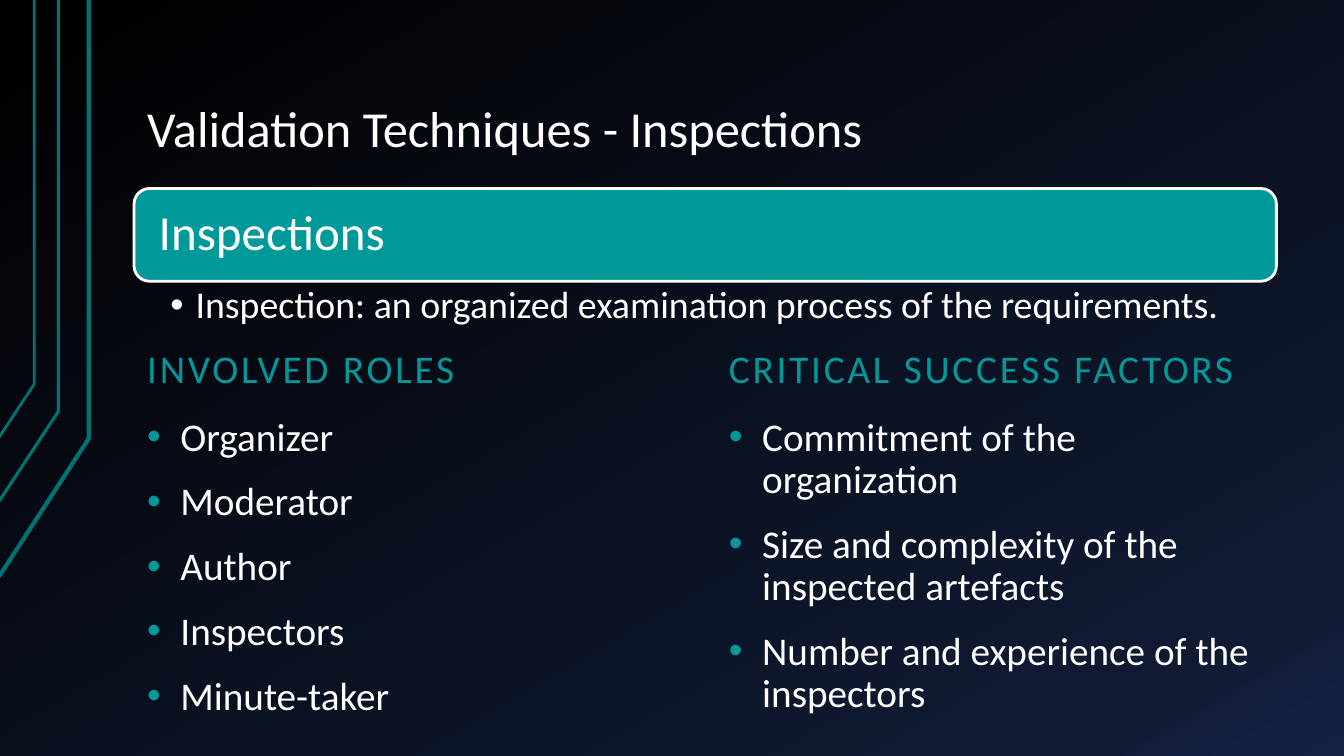
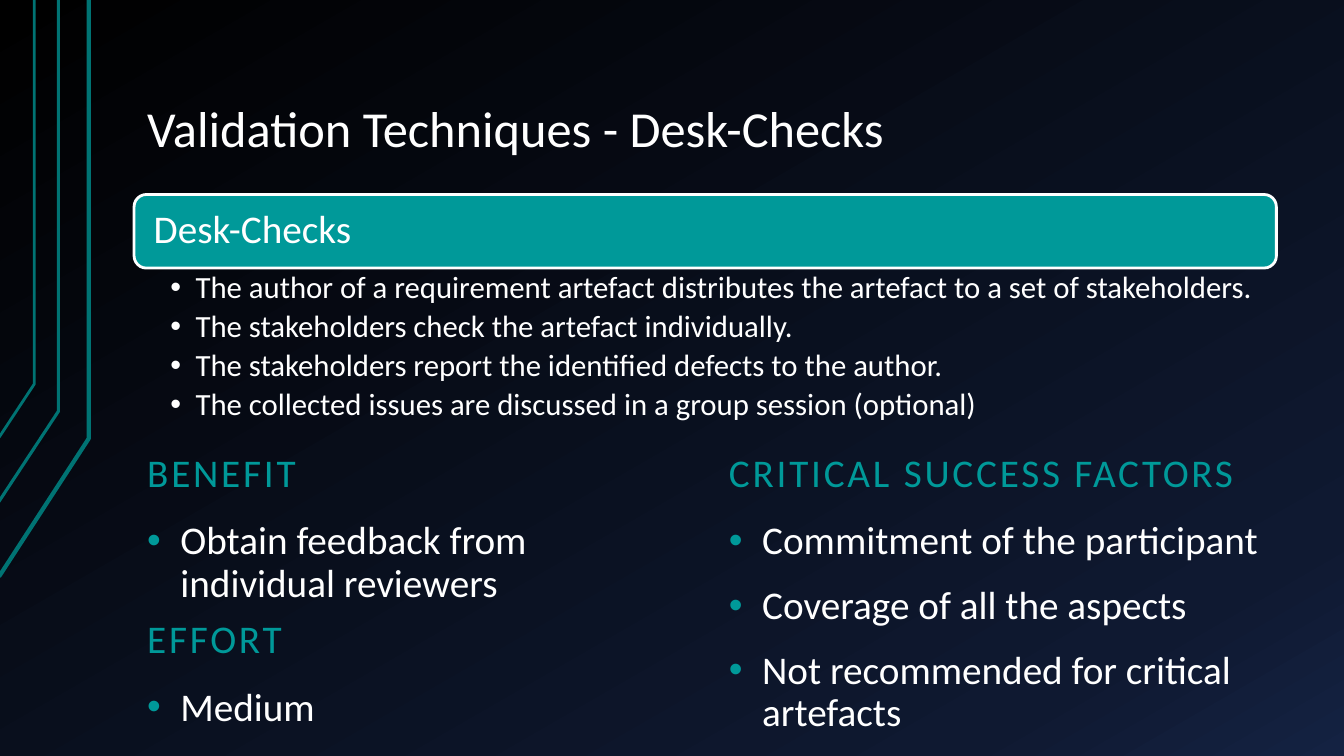
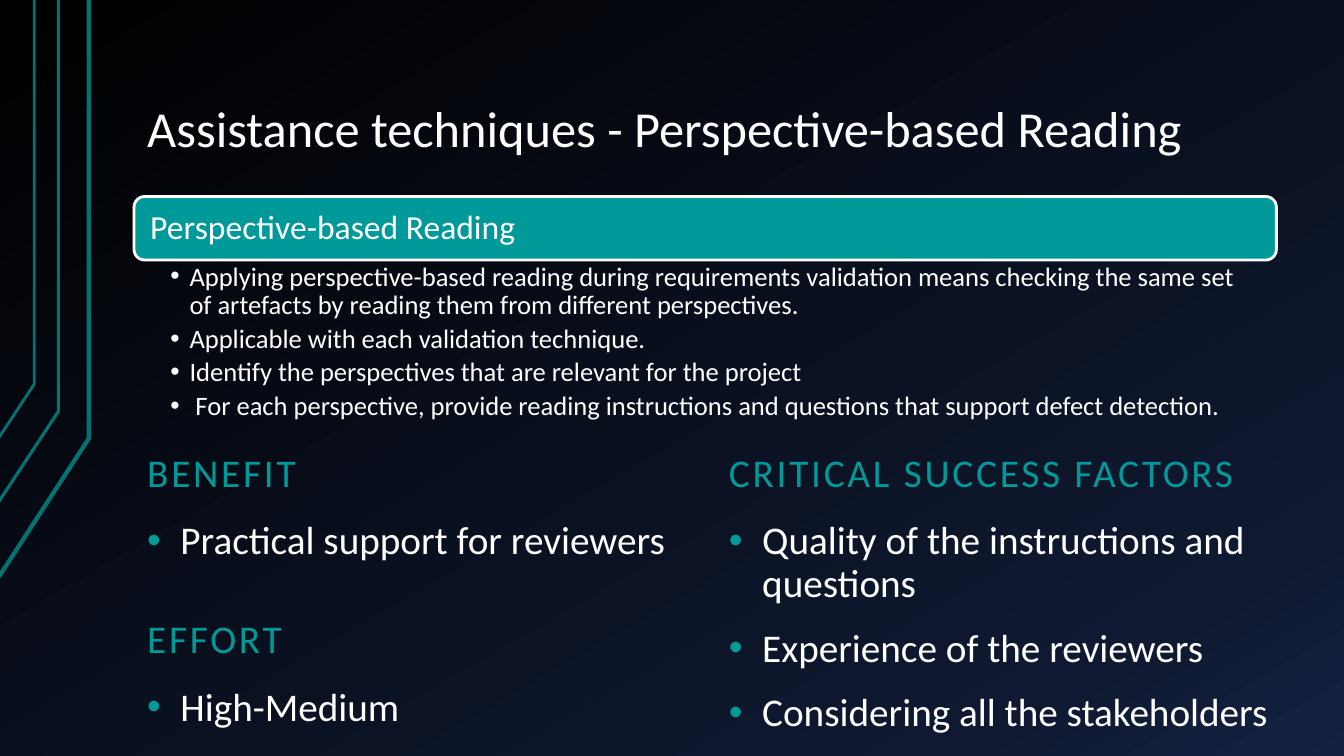
"""Build three slides on requirements validation techniques."""
from lxml import etree
from pptx import Presentation
from pptx import util as u
from pptx.dml.color import RGBColor
from pptx.enum import shapes, text
from pptx.oxml.ns import qn

WIDE, HIGH = 13.33, 7.5
LEFT, SPAN = 1.33, 11.33
FONT, WHITE, TEAL, DEEP = "Calibri", "FFFFFF", "009999", "007373"
GLOW = [(0, "000000"), (85, "0F1931"), (100, "142242")]
RAILS = [
    (3, [(-0.01, 5.72), (0.88, 4.35), (0.88, 0)]),
    (2.25, [(-0.02, 4.99), (0.58, 4.08), (0.58, 0)]),
    (2, [(-0.01, 4.34), (0.34, 3.81), (0.34, 0)]),
]
COLS = [(LEFT, 5.55), (7.1, 5.62)]
DROP, SHORT = 1.11, 0.86
HIGH_ROW, MID_ROW, LOW_ROW = 2.96, 3.99, 5.64
FACTORS = "CRITICAL SUCCESS FACTORS"

SLIDES = [
    dict(
        title="Validation Techniques - Inspections",
        band=("Inspections", 1.87, 0.92, 35, 0.2),
        notes=(27, 0.25, 0.05, 0.27, [
            "Inspection: an organized examination process of the requirements.",
        ]),
        blocks=[
            (0, HIGH_ROW, "INVOLVED ROLES",
             ["Organizer", "Moderator", "Author", "Inspectors", "Minute-taker"]),
            (1, HIGH_ROW, FACTORS,
             ["Commitment of the organization",
              "Size and complexity of the inspected artefacts",
              "Number and experience of the inspectors"]),
        ]),
    dict(
        title="Validation Techniques - Desk-Checks",
        band=("Desk-Checks", 1.93, 0.73, 28, 0.16),
        notes=(22, 0.25, 0.04, 0.22, [
            "The author of a requirement artefact distributes the artefact to a set of stakeholders.",
            "The stakeholders check the artefact individually.",
            "The stakeholders report the identiﬁed defects to the author.",
            "The collected issues are discussed in a group session (optional)",
        ]),
        blocks=[
            (0, MID_ROW, "BENEFIT", ["Obtain feedback from individual reviewers"]),
            (1, MID_ROW, FACTORS,
             ["Commitment of the participant", "Coverage of all the aspects",
              "Not recommended for critical artefacts"]),
            (0, LOW_ROW, "EFFORT", ["Medium"]),
        ]),
    dict(
        title="Assistance techniques - Perspective-based Reading",
        band=("Perspective-based Reading", 1.95, 0.63, 24, 0.13),
        notes=(19, 0.19, 0.03, 0.19, [
            "Applying perspective-based reading during requirements validation means checking "
            "the same set of artefacts by reading them from diﬀerent perspectives.",
            "Applicable with each validation technique.",
            "Identify the perspectives that are relevant for the project",
            " For each perspective, provide reading instructions and questions that support defect detection.",
        ]),
        blocks=[
            (0, MID_ROW, "BENEFIT", ["Practical support for reviewers"]),
            (1, MID_ROW, FACTORS,
             ["Quality of the instructions and questions",
              "Experience of the reviewers", "Considering all the stakeholders"]),
            (0, LOW_ROW, "EFFORT", ["High-Medium"]),
        ]),
]


def paint(color, code):
    """Set a colour from a hex string."""
    color.rgb = RGBColor.from_string(code)


def place(shape, x, y, w, h):
    """Move and size a shape in inches."""
    shape.left, shape.top, shape.width, shape.height = map(u.Inches, (x, y, w, h))


def dot(para, hang, code):
    """Give a paragraph a hanging round bullet."""
    props = para._p.get_or_add_pPr()
    props.set("marL", str(u.Inches(hang)))
    props.set("indent", str(-u.Inches(hang)))
    tint = etree.SubElement(props, qn("a:buClr"))
    etree.SubElement(tint, qn("a:srgbClr"), val=code)
    etree.SubElement(props, qn("a:buFont"), typeface="Arial")
    etree.SubElement(props, qn("a:buChar"), char="•")


def write(shape, lines, size=28, color=WHITE, pad=(0.13, 0.07, 0.13, 0.07),
          anchor="TOP", hang=0, mark=TEAL, before=0, after=0, track=0):
    """Fill a shape with formatted paragraphs."""
    frame = shape.text_frame
    frame.word_wrap = True
    frame.auto_size = text.MSO_AUTO_SIZE.NONE
    frame.vertical_anchor = text.MSO_ANCHOR[anchor]
    (frame.margin_left, frame.margin_top,
     frame.margin_right, frame.margin_bottom) = map(u.Inches, pad)
    for i, line in enumerate(lines):
        para = frame.add_paragraph() if i else frame.paragraphs[0]
        para.alignment = text.PP_ALIGN.LEFT
        para.line_spacing = 0.9
        para.space_before = u.Pt(before if i else 0)
        para.space_after = u.Pt(after)
        if hang:
            dot(para, hang, mark)
        run = para.add_run()
        run.text = line
        run.font.name, run.font.size = FONT, u.Pt(size)
        paint(run.font.color, color)
        if track:
            run._r.get_or_add_rPr().set("spc", str(track * 100))


def box(slide, lines, spot, **form):
    """Add a text box."""
    write(slide.shapes.add_textbox(*map(u.Inches, spot)), lines, **form)


def shade(master):
    """Lay the dark gradient behind every slide."""
    fill = master.background.fill
    fill.gradient()
    fill.gradient_angle = 300
    stops = master.element.find(".//" + qn("a:gsLst"))
    for old in list(stops):
        stops.remove(old)
    for share, code in GLOW:
        stop = etree.SubElement(stops, qn("a:gs"), pos=str(share * 1000))
        etree.SubElement(stop, qn("a:srgbClr"), val=code)


def rails(slide):
    """Draw the bent lines at the left edge."""
    for width, dots in RAILS:
        first, *rest = [(u.Inches(x), u.Inches(y)) for x, y in dots]
        pen = slide.shapes.build_freeform(*first)
        pen.add_line_segments(rest, close=False)
        rail = pen.convert_to_shape()
        rail.shadow.inherit = False
        rail.fill.background()
        rail.line.width = u.Pt(width)
        paint(rail.line.color, DEEP)


def banner(slide, label, top, tall, size, pad):
    """Add the teal band with its label."""
    band = slide.shapes.add_shape(shapes.MSO_SHAPE.ROUNDED_RECTANGLE,
                                  *map(u.Inches, (LEFT, top, SPAN, tall)))
    band.shadow.inherit = False
    band.fill.solid()
    paint(band.fill.fore_color, TEAL)
    paint(band.line.color, WHITE)
    band.line.width = u.Pt(2)
    write(band, [label], size=size, pad=(pad, 0, pad, 0), anchor="MIDDLE")


def block(slide, col, top, head, items):
    """Add a heading and the bullet list below it."""
    x, wide = COLS[col]
    box(slide, [head], (x, top, wide, 1), color=TEAL, anchor="BOTTOM", track=2)
    room = HIGH - top - DROP
    tall = room if len(items) > 1 else min(SHORT, room)
    box(slide, items, (x, top + DROP, wide, tall), hang=0.33, before=16)


def build(deck, data):
    """Compose one slide."""
    slide = deck.slides.add_slide(deck.slide_layouts[5])
    rails(slide)
    title = slide.shapes.title
    place(title, LEFT, 0.3, SPAN, 1.34)
    write(title, [data["title"]], size=36, anchor="BOTTOM")
    banner(slide, *data["band"])
    base = data["band"][1] + data["band"][2]
    size, hang, edge, right, lines = data["notes"]
    box(slide, lines, (LEFT, base, SPAN, data["blocks"][0][1] + 0.4 - base),
        size=size, pad=(0.36, edge, right, edge), hang=hang, mark=WHITE,
        after=round(size * 0.18, 1))
    for part in data["blocks"]:
        block(slide, *part)


def main():
    """Make and save the deck."""
    deck = Presentation()
    deck.slide_width, deck.slide_height = u.Inches(WIDE), u.Inches(HIGH)
    shade(deck.slide_master)
    for data in SLIDES:
        build(deck, data)
    deck.save("out.pptx")


if __name__ == "__main__":
    main()
